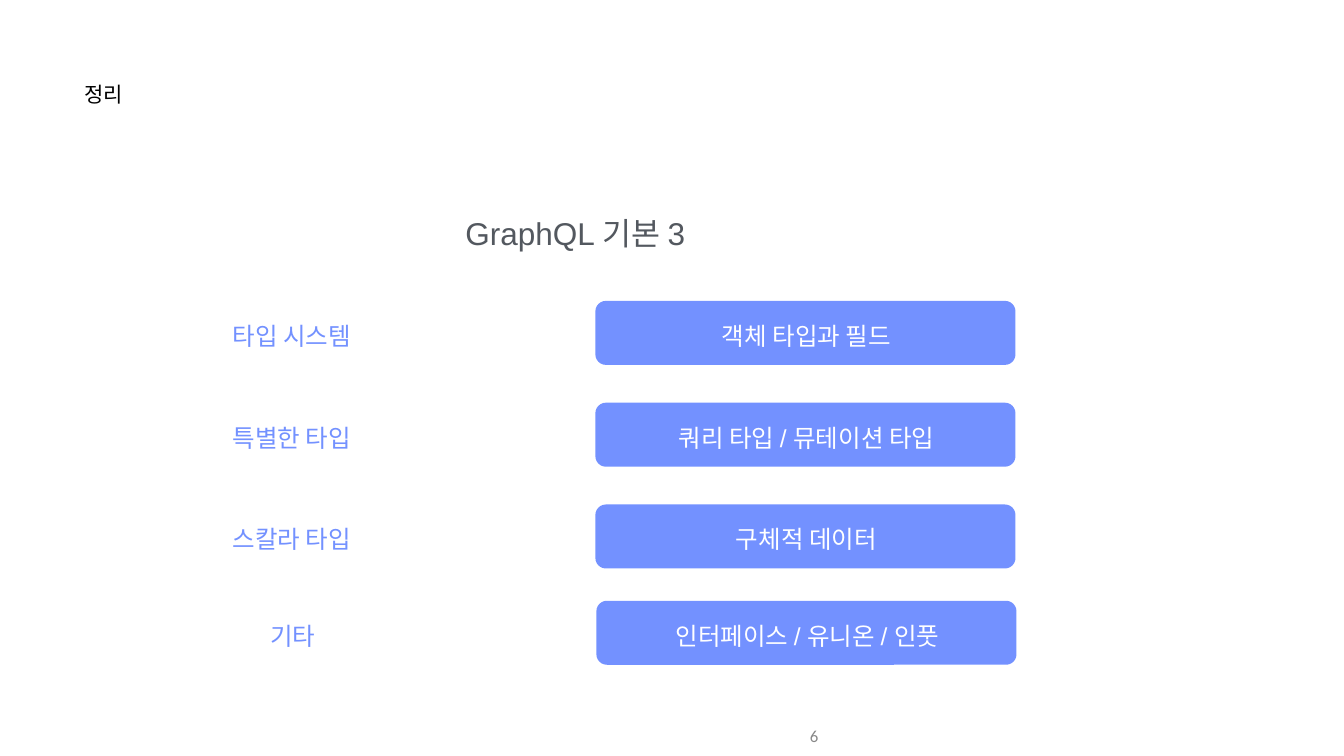
import pptx
import pptx.dml.color
import pptx.enum.shapes
import pptx.enum.text
import pptx.util

Pt = pptx.util.Pt
RGB = pptx.dml.color.RGBColor.from_string
ALIGN = pptx.enum.text.PP_ALIGN
ANCHOR = pptx.enum.text.MSO_ANCHOR

ROWS = [
    ("타입 시스템", "객체 타입과 필드"),
    ("특별한 타입", "쿼리 타입 / 뮤테이션 타입"),
    ("스칼라 타입", "구체적 데이터"),
    ("기타", "인터페이스 / 유니온 / 인풋"),
]

TEXTS = [
    ("정리", "title", (120.24, 115.2, 349.92, 84.96), ALIGN.LEFT, ANCHOR.TOP),
    ("GraphQL 기본 3", "heading", (190.08, 305.28, 1262.88, 56.88), ALIGN.CENTER, ANCHOR.TOP),
    ("6", "number", (743.76, 1023.12, 432, 56.88), ALIGN.RIGHT, ANCHOR.MIDDLE),
]

THEME = {
    "bar": "7391FF",
    "title": ("Arial", 30, "000000"),
    "heading": ("Arial", 45, "53585F"),
    "label": ("Arial", 35, "7391FF"),
    "value": ("Arial", 35, "FFFFFF"),
    "number": ("Calibri", 24, "888888"),
}

INSETS = {
    "title": (0.72, 0.72, 0.72, 0.72),
    "heading": (0.72, 0.72, 0.72, 0.72),
    "label": (0.72, 8, 0.72, 0.72),
    "value": (3.6, 8, 0.72, 0.72),
    "number": (7.2, 3.6, 7.2, 3.6),
}

ROW_TOP, ROW_STEP, ROW_HEIGHT = 429.84, 145.44, 91.44
LAST_SHIFT_X, LAST_SHIFT_Y = 1.44, -7.92
LABEL_LEFT, LABEL_WIDTH = 192, 450
BAR_LEFT, BAR_WIDTH, BAR_ROUNDING = 850.32, 600, 0.164


def apply(target, values):
    for name, value in values.items():
        setattr(target, name, value)


def write(s, text, style, align, anchor):
    left, top, right, bottom = INSETS[style]
    font, size, color = THEME[style]
    tf = s.text_frame
    apply(tf, {
        "word_wrap": True,
        "vertical_anchor": anchor,
        "margin_left": Pt(left),
        "margin_top": Pt(top),
        "margin_right": Pt(right),
        "margin_bottom": Pt(bottom),
    })
    p = tf.paragraphs[0]
    p.alignment = align
    r = p.add_run()
    r.text = text
    apply(r.font, {"name": font, "size": Pt(size)})
    r.font.color.rgb = RGB(color)


def add_text(shapes, text, style, box, align, anchor):
    s = shapes.add_textbox(*map(Pt, box))
    write(s, text, style, align, anchor)


def add_bar(shapes, text, box):
    s = shapes.add_shape(pptx.enum.shapes.MSO_SHAPE.ROUNDED_RECTANGLE, *map(Pt, box))
    s.adjustments[0] = BAR_ROUNDING
    s.shadow.inherit = False
    s.fill.solid()
    s.fill.fore_color.rgb = RGB(THEME["bar"])
    s.line.fill.background()
    write(s, text, "value", ALIGN.CENTER, ANCHOR.MIDDLE)


def main():
    prs = pptx.Presentation()
    apply(prs, {"slide_width": Pt(1919.52), "slide_height": Pt(1080)})
    shapes = prs.slides.add_slide(prs.slide_layouts[6]).shapes

    for item in TEXTS:
        add_text(shapes, *item)

    for i, (label, value) in enumerate(ROWS):
        last = i == len(ROWS) - 1
        dx = LAST_SHIFT_X if last else 0
        top = ROW_TOP + i * ROW_STEP + (LAST_SHIFT_Y if last else 0)
        label_box = (LABEL_LEFT + dx, top, LABEL_WIDTH, ROW_HEIGHT)
        add_text(shapes, label, "label", label_box, ALIGN.CENTER, ANCHOR.MIDDLE)
        add_bar(shapes, value, (BAR_LEFT + dx, top, BAR_WIDTH, ROW_HEIGHT))

    prs.save("out.pptx")


if __name__ == "__main__":
    main()
